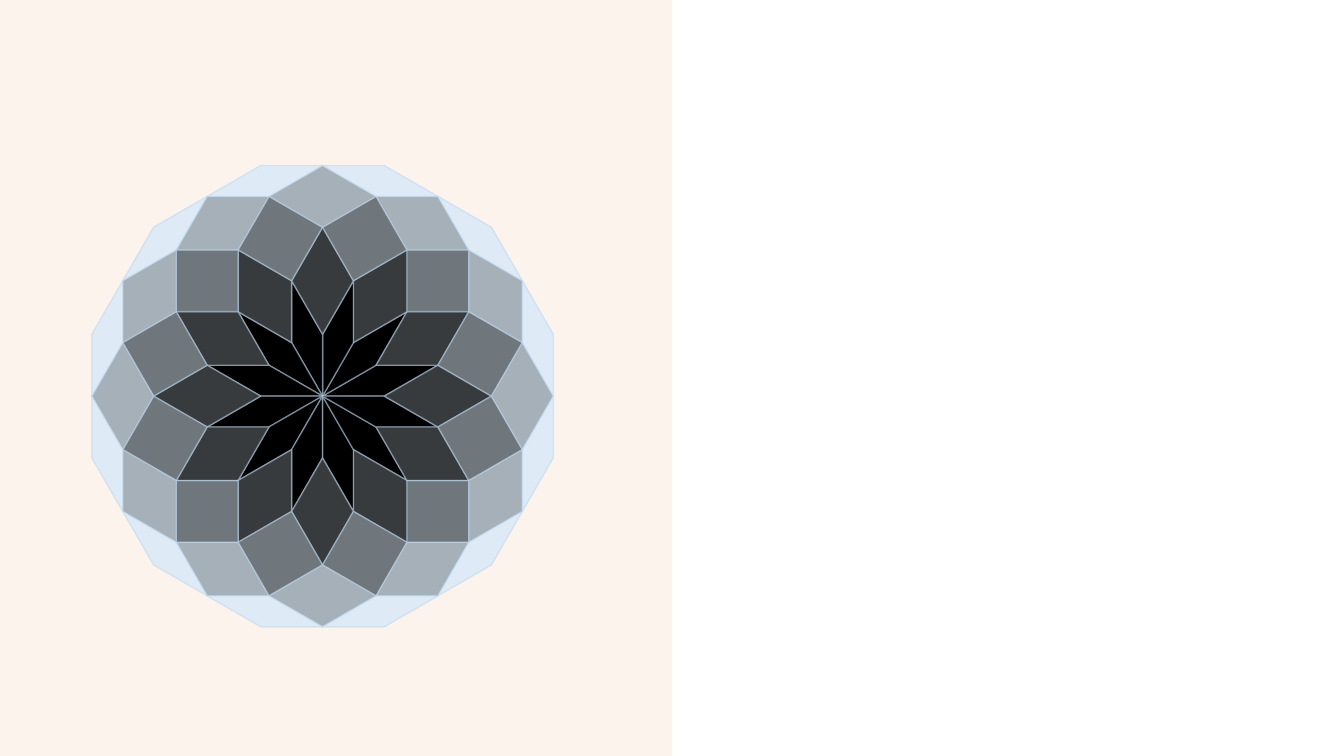
from math import cos, pi, sin

from lxml.etree import SubElement
from pptx import Presentation
from pptx.dml.color import RGBColor
from pptx.enum.shapes import MSO_CONNECTOR as Connector, MSO_SHAPE as Shape
from pptx.oxml.ns import qn
from pptx.util import Inches, Pt

COLORS = {
    "panel": "F4B183",
    "divider": "FBE5D6",
    "edge": "BDD7EE",
}
RING_COLORS = ["000000", "383B3E", "6F767C", "A6B0B9", "DEEBF7"]
PETALS = 12


class RosetteSlide:
    def __init__(self, deck):
        self.slide = deck.slides.add_slide(deck.slide_layouts[6])
        self.shapes = self.slide.shapes
        self.width, self.height = deck.slide_width, deck.slide_height

    def x(self, percent):
        return round(self.width * percent / 100)

    def y(self, percent):
        return round(self.height * percent / 100)

    def set_opacity(self, properties, percent):
        for color in properties.iter(qn("a:srgbClr")):
            SubElement(color, qn("a:alpha"), val=str(percent * 1000))

    def outline(self, shape, color, points):
        shape.line.width = Pt(points)
        shape.line.color.rgb = RGBColor.from_string(color)
        self.set_opacity(shape.element.spPr.find(qn("a:ln")), 50)

    def paint(self, shape, color):
        shape.shadow.inherit = False
        shape.fill.solid()
        shape.fill.fore_color.rgb = RGBColor.from_string(color)

    def panel(self, left, top, width, height, color, opacity):
        panel = self.shapes.add_shape(
            Shape.RECTANGLE, self.x(left), self.y(top), self.x(width), self.y(height))
        self.paint(panel, color)
        self.set_opacity(panel.element.spPr, opacity)
        panel.line.fill.background()

    def divider(self, column, color, points):
        divider = self.shapes.add_connector(
            Connector.STRAIGHT, self.x(column), self.y(100), self.x(column), 0)
        self.outline(divider, color, points)
        SubElement(divider.element.spPr, qn("a:effectLst"))

    def rhombus(self, corners, color):
        outline = self.shapes.build_freeform(*corners[0])
        outline.add_line_segments(corners[1:], close=True)
        rhombus = outline.convert_to_shape()
        self.paint(rhombus, color)
        self.outline(rhombus, COLORS["edge"], 1)
        return rhombus

    def rosette(self, column, row, side, ring_colors):
        center_x, center_y, length = self.x(column), self.y(row), self.x(side)

        def vertex(first, last):
            angles = [2 * pi * step / PETALS for step in range(first, last)]
            return (center_x + length * sum(map(cos, angles)),
                    center_y - length * sum(map(sin, angles)))

        for ring, color in enumerate(ring_colors, start=1):
            petals = []
            for start in range(PETALS):
                end = start + ring
                corners = [vertex(start + 1, end), vertex(start, end),
                           vertex(start, end + 1), vertex(start + 1, end + 1)]
                petals.append(self.rhombus(corners, color))
            self.shapes.add_group_shape(petals)


def main():
    deck = Presentation()
    deck.slide_width, deck.slide_height = Inches(13.33), Inches(7.5)
    page = RosetteSlide(deck)
    page.panel(0, 0, 50, 100, COLORS["panel"], opacity=14)
    page.divider(50, COLORS["divider"], 0.25)
    page.rosette(24, 52.4, 4.6, RING_COLORS)
    deck.save("out.pptx")


if __name__ == "__main__":
    main()
